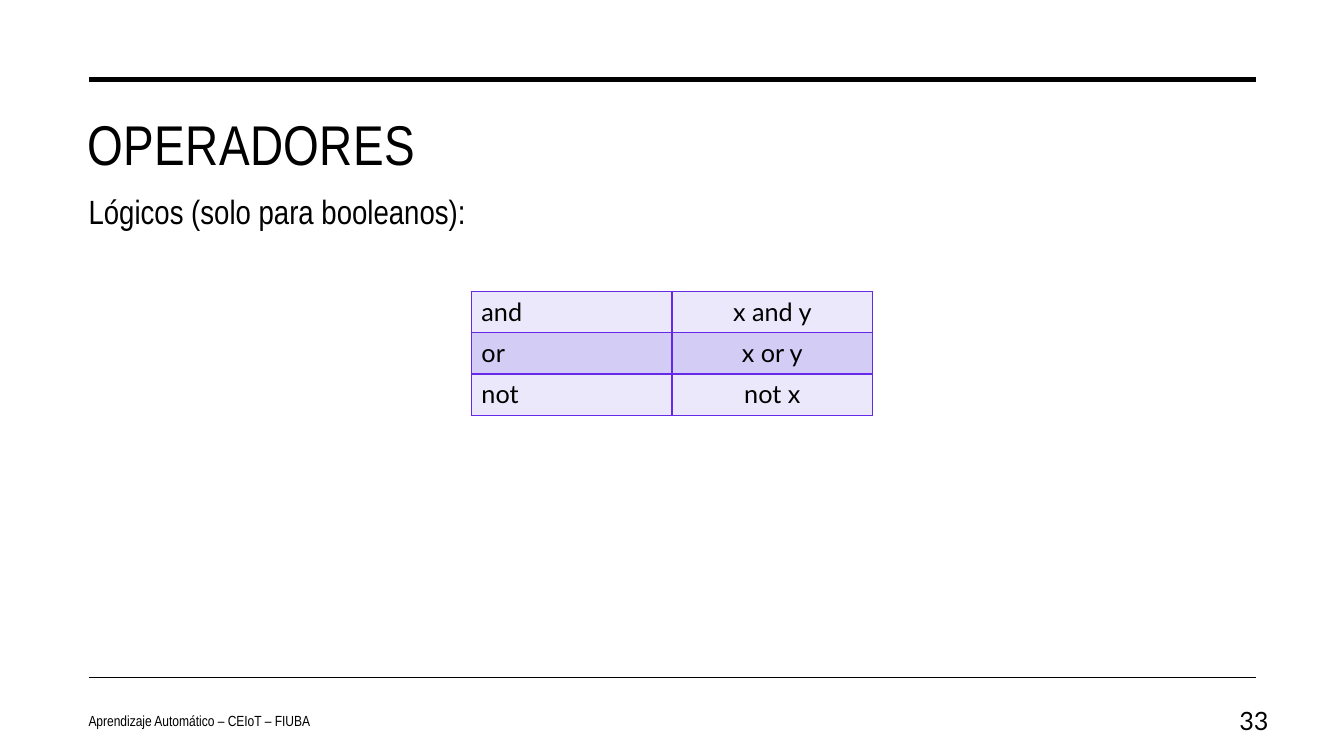
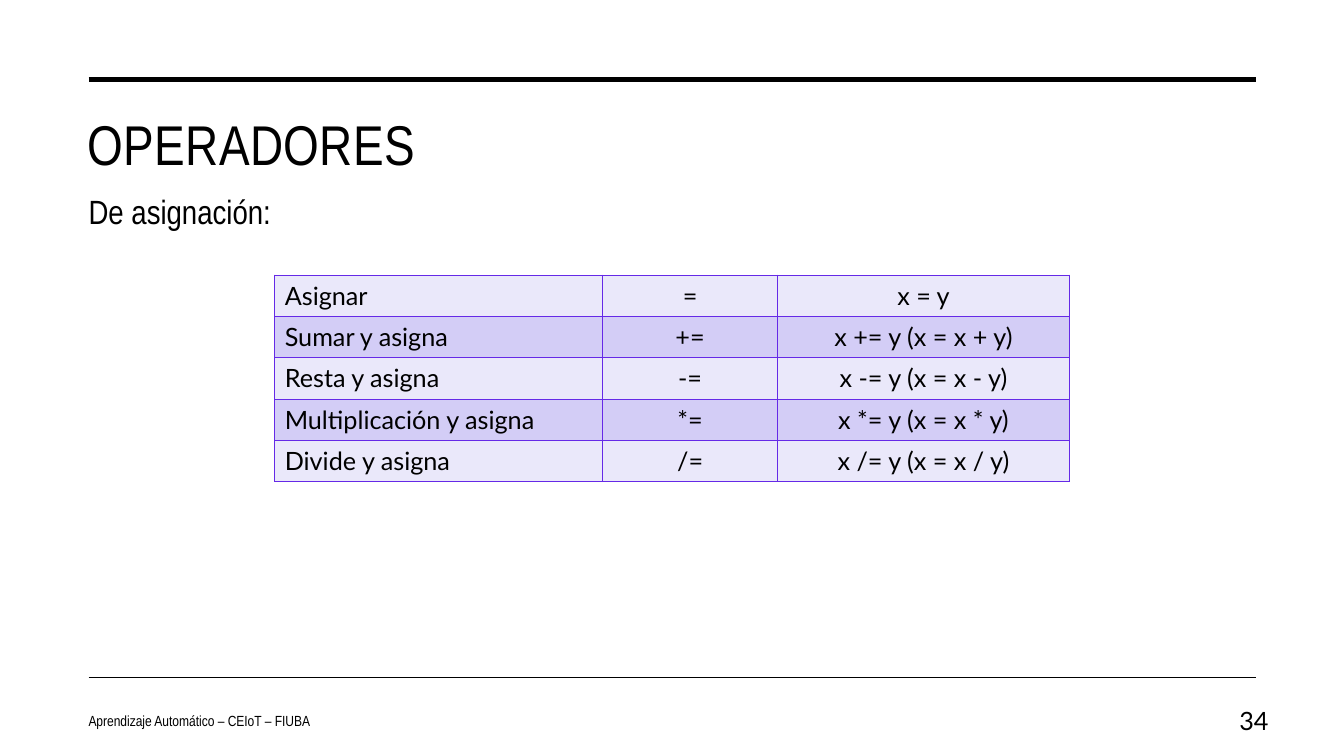
from lxml import etree
from pptx import Presentation
from pptx.dml.color import RGBColor
from pptx.enum.shapes import MSO_CONNECTOR
from pptx.enum.text import MSO_ANCHOR, PP_ALIGN
from pptx.oxml.ns import qn
from pptx.util import Inches, Pt

LEFT, CENTER, RIGHT = PP_ALIGN.LEFT, PP_ALIGN.CENTER, PP_ALIGN.RIGHT
TOP, MIDDLE = MSO_ANCHOR.TOP, MSO_ANCHOR.MIDDLE
STRAIGHT = MSO_CONNECTOR.STRAIGHT

SLIDE_WIDTH, SLIDE_HEIGHT = 13.33, 7.5
BLACK, BORDER = "000000", "6529E7"
ROW_FILLS = ("EAE8FA", "D3CDF6")
HEADING_FONT, BODY_FONT = "Arial Narrow", "Lato"
RULE_LEFT, RULE_RIGHT = 0.88, 12.46
RULES = ((0.79, 3.5), (6.72, 1))
ROW_HEIGHT = 0.41
FOOTER = "Aprendizaje Automático – CEIoT – FIUBA"

TITLE_FORMAT = {"name": HEADING_FONT, "size": Pt(40)}
SUBTITLE_FORMAT = {"name": HEADING_FONT, "size": Pt(24)}
FOOTER_FORMAT = {"name": HEADING_FONT, "size": Pt(10.5)}
BODY_FORMAT = {"name": BODY_FONT, "size": Pt(18)}

SLIDES = (
    {
        "number": 33,
        "title": "OPERADORES",
        "subtitle": "Lógicos (solo para booleanos):",
        "table_top": 2.89,
        "columns": (1.99, 1.99),
        "rows": (("and", "x and y"), ("or", "x or y"), ("not", "not x")),
    },
    {
        "number": 34,
        "title": "OPERADORES",
        "subtitle": "De asignación:",
        "table_top": 2.73,
        "columns": (3.25, 1.74, 2.89),
        "rows": (
            ("Asignar", "=", "x = y"),
            ("Sumar y asigna", "+=", "x += y (x = x + y)"),
            ("Resta y asigna", "-=", "x -= y (x = x - y)"),
            ("Multiplicación y asigna", "*=", "x *= y (x = x * y)"),
            ("Divide y asigna", "/=", "x /= y (x = x / y)"),
        ),
    },
)


def color(hex_value):
    return RGBColor.from_string(hex_value)


def write_text(paragraph, text, text_format, alignment=LEFT):
    paragraph.alignment = alignment
    run = paragraph.add_run()
    run.text = text
    for attribute, value in text_format.items():
        setattr(run.font, attribute, value)
    run.font.color.rgb = color(BLACK)
    return run


def add_text(slide, box, text, text_format, alignment=LEFT, anchor=TOP):
    shape = slide.shapes.add_textbox(*map(Inches, box))
    frame = shape.text_frame
    frame.word_wrap = True
    frame.vertical_anchor = anchor
    return write_text(frame.paragraphs[0], text, text_format, alignment)


def add_rule(slide, top, width):
    rule = slide.shapes.add_connector(
        STRAIGHT, Inches(RULE_LEFT), Inches(top), Inches(RULE_RIGHT), Inches(top))
    rule.line.color.rgb = color(BLACK)
    rule.line.width = Pt(width)
    etree.SubElement(rule._element.spPr, qn("a:effectLst"))


def add_borders(cell):
    properties = cell._tc.get_or_add_tcPr()
    for side in ("a:lnL", "a:lnR", "a:lnT", "a:lnB"):
        line = etree.SubElement(properties, qn(side), w=str(Pt(1)))
        fill = etree.SubElement(line, qn("a:solidFill"))
        etree.SubElement(fill, qn("a:srgbClr"), val=BORDER)


def add_operator_table(slide, top, columns, rows):
    """Place a horizontally centred table with alternating row fills."""
    width = sum(columns)
    box = ((SLIDE_WIDTH - width) / 2, top, width, ROW_HEIGHT * len(rows))
    table = slide.shapes.add_table(
        len(rows), len(columns), *map(Inches, box)).table
    table.first_row = table.horz_banding = False
    for column, column_width in zip(table.columns, columns):
        column.width = Inches(column_width)
    for row_index, row in enumerate(rows):
        table.rows[row_index].height = Inches(ROW_HEIGHT)
        for column_index, text in enumerate(row):
            cell = table.cell(row_index, column_index)
            add_borders(cell)
            cell.fill.solid()
            cell.fill.fore_color.rgb = color(ROW_FILLS[row_index % 2])
            write_text(cell.text_frame.paragraphs[0], text, BODY_FORMAT,
                       CENTER if column_index else LEFT)


def add_frame(slide, title, number):
    """Draw the rules, title, footer and page number every slide shares."""
    for top, width in RULES:
        add_rule(slide, top, width)
    title_run = add_text(slide, (0.77, 1.04, 11.69, 0.75), title, TITLE_FORMAT)
    title_run.font._element.set("spc", "30")
    add_text(slide, (0.78, 6.95, 4.96, 0.4), FOOTER, FOOTER_FORMAT, anchor=MIDDLE)
    add_text(slide, (11.94, 6.95, 0.74, 0.4), str(number), BODY_FORMAT,
             RIGHT, MIDDLE)


def build_operator_slide(presentation, content):
    slide = presentation.slides.add_slide(presentation.slide_layouts[6])
    add_frame(slide, content["title"], content["number"])
    add_text(slide, (0.78, 1.84, 8.38, 0.5), content["subtitle"], SUBTITLE_FORMAT)
    add_operator_table(
        slide, content["table_top"], content["columns"], content["rows"])


def main():
    presentation = Presentation()
    presentation.slide_width = Inches(SLIDE_WIDTH)
    presentation.slide_height = Inches(SLIDE_HEIGHT)
    for content in SLIDES:
        build_operator_slide(presentation, content)
    presentation.save("out.pptx")


if __name__ == "__main__":
    main()
